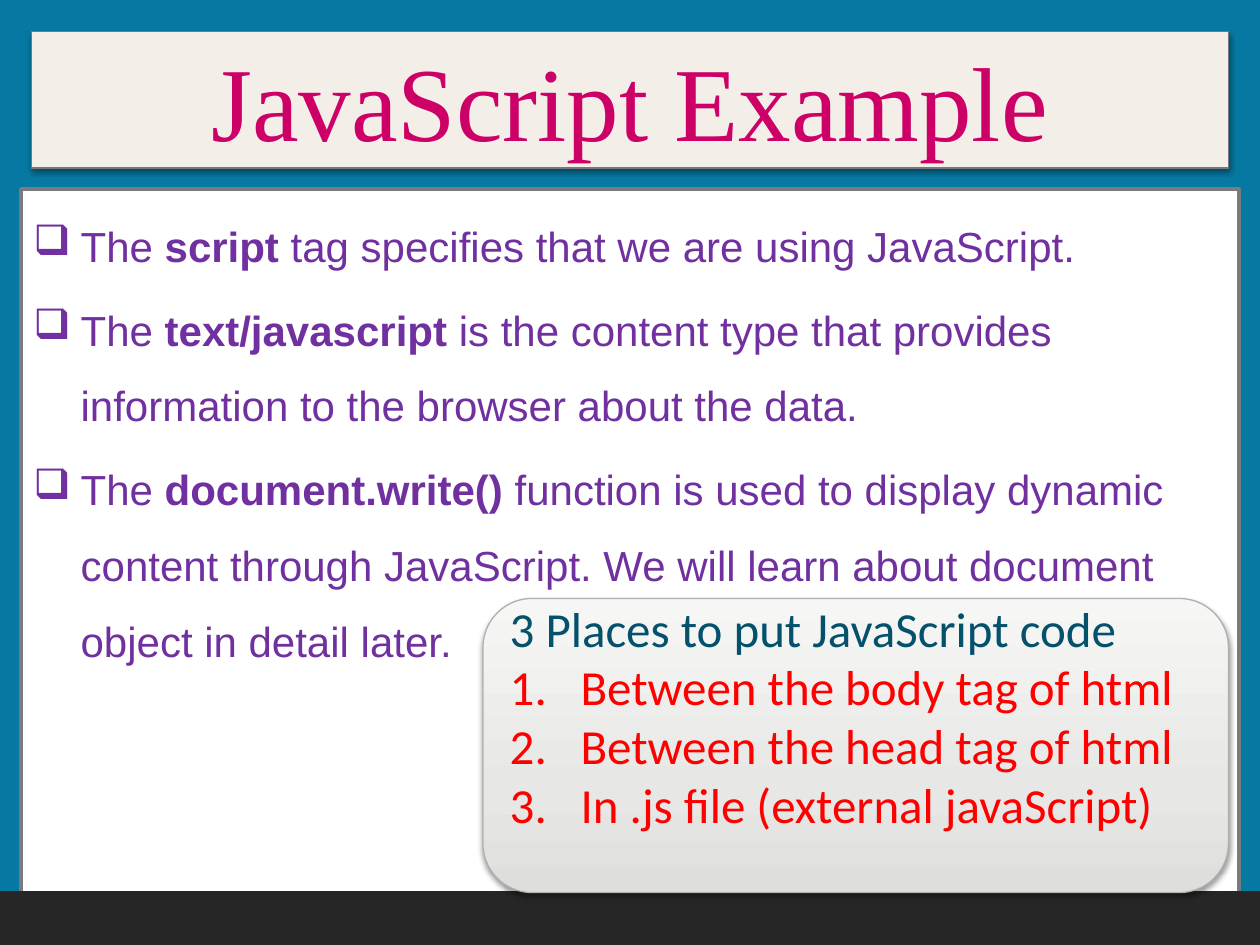
from lxml import etree
from pptx import Presentation
from pptx.dml.color import RGBColor
from pptx.enum.shapes import MSO_SHAPE as Shape
from pptx.enum.text import MSO_ANCHOR as Anchor, PP_ALIGN as Align
from pptx.oxml import parse_xml
from pptx.oxml.ns import nsdecls, qn
from pptx.util import Pt

# Content: each paragraph is a list of (text, bold) spans
TITLE = [[("JavaScript Example", False)]]
POINTS = [
    [("The\u00a0", False), ("script", True),
     ("\u00a0tag specifies that we are using JavaScript.", False)],
    [("The\u00a0", False), ("text/javascript", True),
     ("\u00a0is the content type that provides information to the browser "
      "about the data.", False)],
    [("The\u00a0", False), ("document.write()", True),
     ("\u00a0function is used to display dynamic content through JavaScript. "
      "We will learn about document object in detail later.", False)],
]
PLACES_HEADING = [[("3 Places to put JavaScript code", False)]]
PLACES = [
    [("Between the body tag of html", False)],
    [("Between the head tag of html", False)],
    [("In .js file (external javaScript)", False)],
]

# Formats
TITLE_FONT = {"name": "Times New Roman", "size": Pt(60), "color": "CC0066"}
POINT_FONT = {"name": "Arial", "size": Pt(24), "color": "7030A0"}
HEADING_FONT = {"name": "Calibri", "size": Pt(28), "color": "04516C"}
PLACE_FONT = {**HEADING_FONT, "color": "FF0000"}
SQUARE_BULLET = ("buChar", {"char": "❑"})
NUMBER_BULLET = ("buAutoNum", {"type": "arabicPeriod"})
CARD_STOPS = [(0, "DEDEDD"), (35, "E7E7E6"), (100, "F6F6F5")]


def rgb(value):
    return RGBColor.from_string(value)


def add_panel(kind, left, top, width, height, fill, line, weight):
    panel = page.shapes.add_shape(kind, Pt(left), Pt(top), Pt(width), Pt(height))
    panel.shadow.inherit = False
    panel.fill.solid()
    panel.fill.fore_color.rgb = rgb(fill)
    panel.line.color.rgb = rgb(line)
    panel.line.width = Pt(weight)
    return panel


def add_shadow(panel):
    effects = panel._element.spPr.find(qn("a:effectLst"))
    effects.append(parse_xml(
        f'<a:outerShdw {nsdecls("a")} blurRad="{Pt(3.1)}" dist="{Pt(1.6)}" '
        'dir="5400000" rotWithShape="0"><a:srgbClr val="000000">'
        '<a:alpha val="38000"/></a:srgbClr></a:outerShdw>'))


def add_gradient(panel, stops):
    marks = "".join(f'<a:gs pos="{place * 1000}"><a:srgbClr val="{tone}"/></a:gs>'
                    for place, tone in stops)
    solid = panel._element.spPr.find(qn("a:solidFill"))
    solid.getparent().replace(solid, parse_xml(
        f'<a:gradFill {nsdecls("a")} rotWithShape="1"><a:gsLst>{marks}</a:gsLst>'
        '<a:lin ang="16200000" scaled="0"/></a:gradFill>'))


def set_frame(panel, **settings):
    for name, value in {"word_wrap": True, **settings}.items():
        setattr(panel.text_frame, name, value)


def write(panel, paragraphs, font, bullet=None, indent=0, **settings):
    frame = panel.text_frame
    for spans in paragraphs:
        first = not frame.paragraphs[0].runs
        para = frame.paragraphs[0] if first else frame.add_paragraph()
        for name, value in {"alignment": Align.LEFT, **settings}.items():
            if not (first and name == "space_before"):
                setattr(para, name, value)
        if bullet:
            tag, attributes = bullet
            props = para._p.get_or_add_pPr()
            props.set("marL", str(Pt(indent)))
            props.set("indent", str(-Pt(indent)))
            etree.SubElement(props, qn(f"a:{tag}"), attributes)
        for text, bold in spans:
            span = para.add_run()
            span.text = text
            span.font.name = font["name"]
            span.font.size = font["size"]
            span.font.bold = bold
            span.font.color.rgb = rgb(font["color"])


deck = Presentation()
deck.slide_width, deck.slide_height = Pt(720), Pt(540)
page = deck.slides.add_slide(deck.slide_layouts[6])
page.background.fill.solid()
page.background.fill.fore_color.rgb = rgb("0679A3")

# Title bar
title = add_panel(Shape.RECTANGLE, 18, 18, 684, 78, "F3EFE8", "76787B", 0.75)
add_shadow(title)
set_frame(title, vertical_anchor=Anchor.MIDDLE)
write(title, TITLE, TITLE_FONT, alignment=Align.CENTER)

# Main points
body = add_panel(Shape.RECTANGLE, 12, 108, 696, 402, "FFFFFF", "797B7E", 2)
set_frame(body, vertical_anchor=Anchor.TOP)
write(body, POINTS, POINT_FONT, SQUARE_BULLET, 27,
      line_spacing=1.5, space_before=Pt(4.8))

# Footer band
add_panel(Shape.RECTANGLE, 0, 510, 720, 30, "262626", "262626", 2)

# Card with the three places; the bottom margin lifts the text
card = add_panel(Shape.ROUNDED_RECTANGLE, 276, 342, 426, 168, "DEDEDD", "B0B0AF", 0.75)
add_gradient(card, CARD_STOPS)
add_shadow(card)
set_frame(card, vertical_anchor=Anchor.MIDDLE, margin_bottom=Pt(37.6))
write(card, PLACES_HEADING, HEADING_FONT)
write(card, PLACES, PLACE_FONT, NUMBER_BULLET, 40.5)

deck.save("out.pptx")
